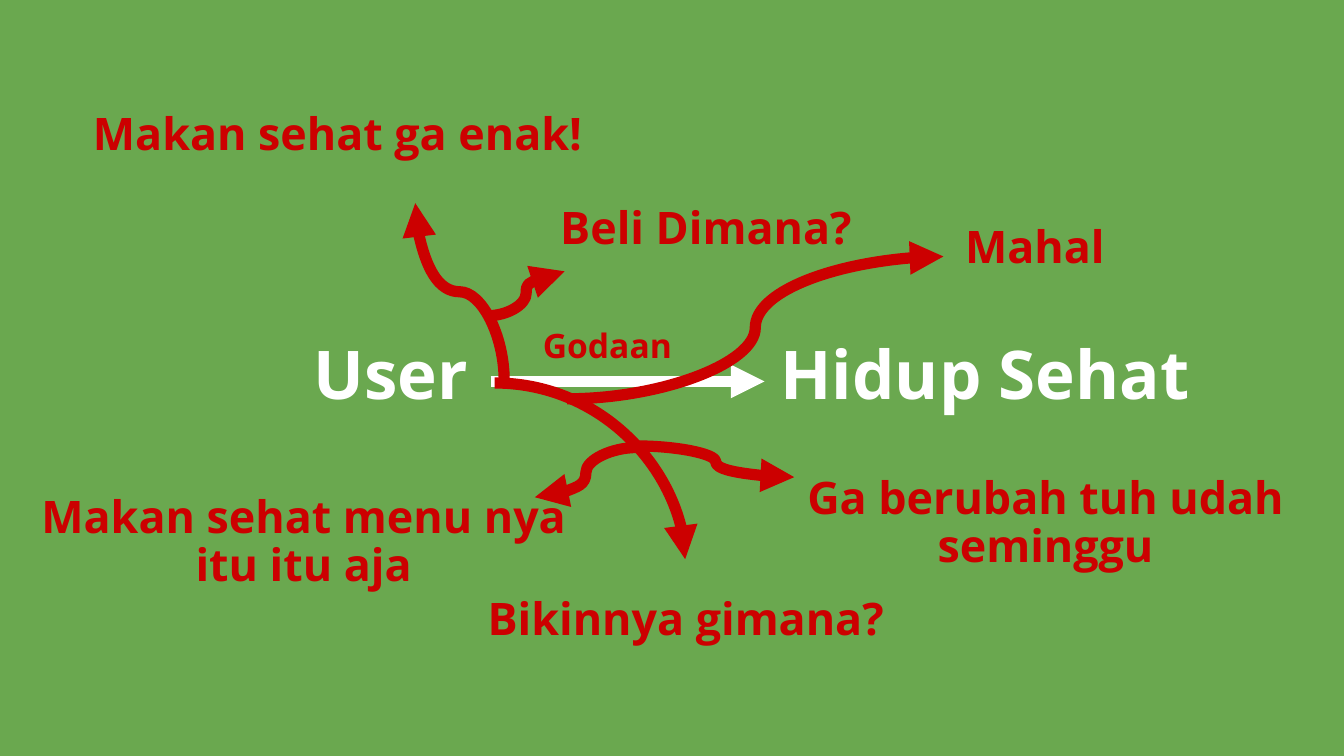
from lxml.etree import SubElement
from pptx import Presentation
from pptx.dml.color import RGBColor
from pptx.enum.shapes import MSO_CONNECTOR as Route
from pptx.enum.text import MSO_ANCHOR, MSO_AUTO_SIZE, PP_ALIGN
from pptx.oxml.ns import qn
from pptx.util import Cm, Pt

GREEN, WHITE, RED = "6AA84F", "FFFFFF", "CC0000"
LABEL_WIDTH, LABEL_HEIGHT = 10.62, 2.34
INSET = 0.25


def colour(hex_code):
    return RGBColor.from_string(hex_code)


def write_label(label, left, top, wording, size, hex_code):
    label.left, label.top = Cm(left), Cm(top)
    label.width, label.height = Cm(LABEL_WIDTH), Cm(LABEL_HEIGHT)
    frame = label.text_frame
    frame.word_wrap = True
    frame.auto_size = MSO_AUTO_SIZE.NONE
    frame.vertical_anchor = MSO_ANCHOR.MIDDLE
    frame.margin_left = frame.margin_right = Cm(INSET)
    frame.margin_top = frame.margin_bottom = Cm(INSET)
    paragraph = frame.paragraphs[0]
    paragraph.alignment = PP_ALIGN.CENTER
    paragraph.line_spacing = 0.9
    run = paragraph.add_run()
    run.text = wording
    run.font.name, run.font.size, run.font.bold = "Open Sans", Pt(size), True
    run.font.color.rgb = colour(hex_code)


def add_label(slide, left, top, wording, size, hex_code):
    label = slide.shapes.add_textbox(0, 0, 0, 0)
    write_label(label, left, top, wording, size, hex_code)


def add_arrow(shapes, route, start, end, hex_code):
    arrow = shapes.add_connector(route, *map(Cm, (*start, *end)))
    arrow.line.color.rgb = colour(hex_code)
    arrow.line.width = Pt(6)
    properties = arrow._element.spPr
    SubElement(properties.find(qn("a:ln")), qn("a:tailEnd"), type="triangle")
    SubElement(properties, qn("a:effectLst"))
    return arrow


def add_upward_curve(shapes, start, end, hex_code):
    """Curve that leaves its start vertically: a sideways curve turned by 90 degrees."""
    (x1, y1), (x2, y2) = start, end
    centre_x, centre_y = (x1 + x2) / 2, (y1 + y2) / 2
    half_width, half_height = abs(x2 - x1) / 2, abs(y2 - y1) / 2
    curve = add_arrow(shapes, Route.CURVE,
                      (centre_x + half_height, centre_y - half_width),
                      (centre_x - half_height, centre_y + half_width), hex_code)
    curve._element.spPr.find(qn("a:xfrm")).set("rot", str(90 * 60000))


def draw_goal(slide, left, top):
    """User on the left, healthy life on the right, and the straight way between."""
    write_label(slide.shapes.title, left, top, "User", 36, WHITE)
    add_label(slide, left + 11.23, top, "Hidup Sehat", 36, WHITE)
    way_y = top + 1.24
    add_arrow(slide.shapes, Route.STRAIGHT,
              (left + 7.19, way_y), (left + 12.37, way_y), WHITE)


def draw_temptations(slide, left, top):
    temptations = [
        (13.82, 2.13, "Mahal", 24),
        (7.6, 1.78, "Beli Dimana?", 24),
        (7.22, 9.17, "Bikinnya gimana?", 24),
        (14.02, 7.34, "Ga berubah tuh udah seminggu", 24),
        (0, 7.69, "Makan sehat menu nya itu itu aja", 24),
        (0.64, 0, "Makan sehat ga enak!", 24),
        (5.74, 4.01, "Godaan", 18),
    ]
    for x, y, wording, size in temptations:
        add_label(slide, left + x, top + y, wording, size, RED)


def draw_detours(slide, left, top):
    def at(x, y):
        return left + x, top + y

    detours = slide.shapes.add_group_shape().shapes
    bend = add_arrow(detours, Route.CURVE, at(1.5, 3.4), at(5.1, 6.73), RED)
    bend._element.spPr.find(qn("a:prstGeom")).set("prst", "curvedConnector2")
    add_upward_curve(detours, at(1.68, 3.35), at(0, 0), RED)
    for start, end in [
        ((4.19, 4.62), (2.26, 5.56)),
        ((4.19, 4.59), (7.16, 5.18)),
        ((1.37, 2.13), (2.82, 1.29)),
        ((2.87, 3.7), (9.98, 1.01)),
    ]:
        add_arrow(detours, Route.CURVE, at(*start), at(*end), RED)


def main():
    deck = Presentation()
    deck.slide_width, deck.slide_height = Cm(25.4), Cm(14.29)
    slide = deck.slides.add_slide(deck.slide_layouts.get_by_name("Title Only"))
    background = slide.background.fill
    background.solid()
    background.fore_color.rgb = colour(GREEN)
    draw_goal(slide, 2.08, 5.97)
    draw_temptations(slide, 0.43, 1.4)
    draw_detours(slide, 7.85, 3.84)
    deck.save("out.pptx")


if __name__ == "__main__":
    main()
